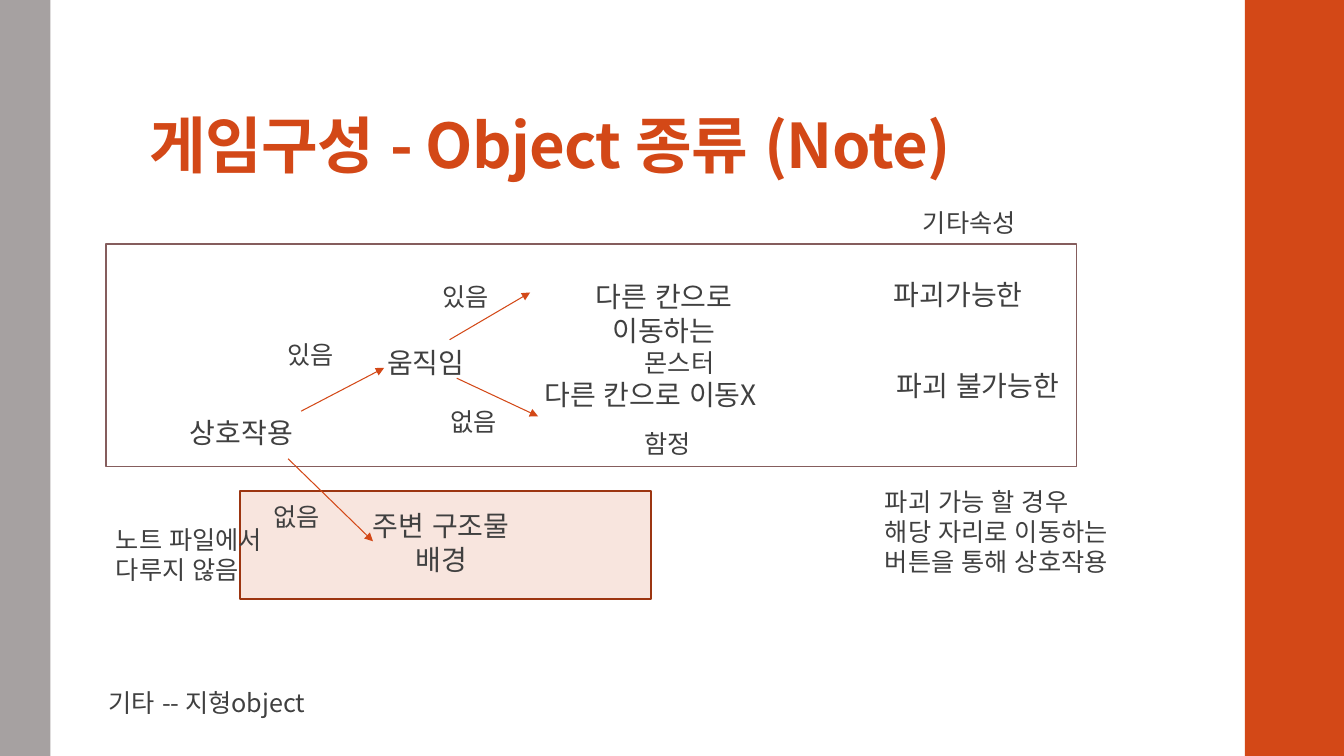
from lxml import etree
from pptx import Presentation
from pptx import util as u
from pptx.dml.color import RGBColor
from pptx.enum import lang, shapes, text
from pptx.oxml import ns

ORANGE, GREY, INK = "D34817", "A6A1A1", "404040"
FONT = "Noto Sans CJK KR"


def paint(color, value):
    color.rgb = RGBColor.from_string(value)


def write(p, content, size=18, color=INK, bold=False, align=None, spacing=None):
    p.alignment = align
    r = p.add_run()
    r.text = content
    f = r.font
    f.size, f.bold, f.name = u.Pt(size), bold, FONT
    f.language_id = lang.MSO_LANGUAGE_ID.KOREAN
    paint(f.fill_color if hasattr(f, "fill_color") else f.color, color)
    rPr = r._r.get_or_add_rPr()
    rPr.find(ns.qn("a:latin")).addnext(
        etree.Element(ns.qn("a:ea"), typeface=FONT))
    if spacing is not None:
        rPr.set("spc", str(round(spacing * 100)))


class Board:
    def __init__(self, prs):
        self.s = prs.slides.add_slide(prs.slide_layouts[5])

    def title(self, content, x, y, w, h):
        sp = self.s.shapes.title
        sp.left, sp.top, sp.width, sp.height = map(u.Cm, (x, y, w, h))
        tf = sp.text_frame
        tf.word_wrap = True
        tf.auto_size = text.MSO_AUTO_SIZE.NONE
        tf.vertical_anchor = text.MSO_ANCHOR.BOTTOM
        tf.margin_left = tf.margin_right = u.Cm(0.25)
        tf.margin_top, tf.margin_bottom = u.Cm(0.08), u.Cm(0.13)
        p = tf.paragraphs[0]
        p.line_spacing = 0.9
        write(p, content, size=44, color=ORANGE, bold=True,
              align=text.PP_ALIGN.LEFT, spacing=-0.5)

    def box(self, x, y, w, h, fill, line=None, opacity=None):
        sp = self.s.shapes.add_shape(
            shapes.MSO_SHAPE.RECTANGLE, *map(u.Cm, (x, y, w, h)))
        sp.shadow.inherit = False
        sp.fill.solid()
        paint(sp.fill.fore_color, fill)
        if opacity is not None:
            clr = sp._element.spPr.find(ns.qn("a:solidFill"))[0]
            etree.SubElement(clr, ns.qn("a:alpha"), val=str(opacity * 1000))
        if line:
            paint(sp.line.color, line)
            sp.line.width = u.Pt(1.1)
        else:
            sp.line.fill.background()

    def label(self, content, x, y, w, h, **style):
        tf = self.s.shapes.add_textbox(*map(u.Cm, (x, y, w, h))).text_frame
        tf.word_wrap = True
        tf.auto_size = text.MSO_AUTO_SIZE.SHAPE_TO_FIT_TEXT
        for i, row in enumerate(content.split("\n")):
            p = tf.add_paragraph() if i else tf.paragraphs[0]
            write(p, row, **style)

    def arrow(self, x1, y1, x2, y2):
        c = self.s.shapes.add_connector(
            shapes.MSO_CONNECTOR.STRAIGHT, *map(u.Cm, (x1, y1, x2, y2)))
        paint(c.line.color, ORANGE)
        c.line.width = u.Pt(0.75)
        etree.SubElement(c.line._get_or_add_ln(), ns.qn("a:tailEnd"), type="triangle")
        etree.SubElement(c._element.spPr, ns.qn("a:effectLst"))


NODES = [
    ("상호작용", 1.96, 10.34, 8.26, 1.12),
    ("움직임", 6.6, 8.59, 8.26, 1.12),
    ("주변 구조물\n배경", 6.99, 12.7, 8.26, 1.96),
    ("다른 칸으로 이동하는", 13.41, 6.93, 6.65, 1.12),
    ("다른 칸으로 이동X", 12.27, 9.4, 8.26, 1.12),
    ("파괴가능한", 20.02, 6.86, 8.26, 1.12),
    ("파괴 불가능한", 20.52, 9.17, 8.26, 1.12),
]
ARROWS = [
    (7.59, 10.36, 9.68, 9.27),
    (7.26, 11.56, 9.4, 13.64),
    (11.33, 8.56, 13.36, 7.37),
    (11.51, 9.53, 13.56, 10.49),
]
NOTES = [
    ("있음", 6.99, 8.43, 1.93, 1.02),
    ("없음", 6.65, 12.52, 1.93, 1.02),
    ("있음", 10.9, 6.96, 1.93, 1.02),
    ("없음", 11.1, 10.11, 1.93, 1.02),
    ("기타속성", 23.01, 5.11, 3.56, 1.02),
    ("파괴 가능 할 경우\n해당 자리로 이동하는\n버튼을 통해 상호작용", 22.05, 12.12, 8.03, 2.57),
    ("기타 -- 지형object", 2.49, 17.2, 10.36, 1.02),
    ("노트 파일에서 다루지 않음", 2.67, 13.08, 5.13, 1.8),
    ("함정", 16, 10.67, 3.3, 1.02),
    ("몬스터", 16, 8.64, 2.87, 1.02),
]


def main():
    prs = Presentation()
    prs.slide_width, prs.slide_height = u.Cm(33.87), u.Cm(19.05)
    board = Board(prs)
    board.box(31.37, 0, 2.5, 19.05, ORANGE)
    board.box(0, 0, 1.27, 19.05, GREY)
    board.title("게임구성 - Object 종류 (Note)", 3.51, 0.81, 26.92, 3.89)
    board.box(6.05, 12.37, 10.36, 2.72, ORANGE, line="9C3511", opacity=14)
    board.box(2.67, 6.15, 24.46, 5.61, "FFFFFF", line="855D5D")
    for node in NODES:
        board.label(*node, size=20, align=text.PP_ALIGN.CENTER)
    for ends in ARROWS:
        board.arrow(*ends)
    for note in NOTES:
        board.label(*note)
    prs.save("out.pptx")


if __name__ == "__main__":
    main()
